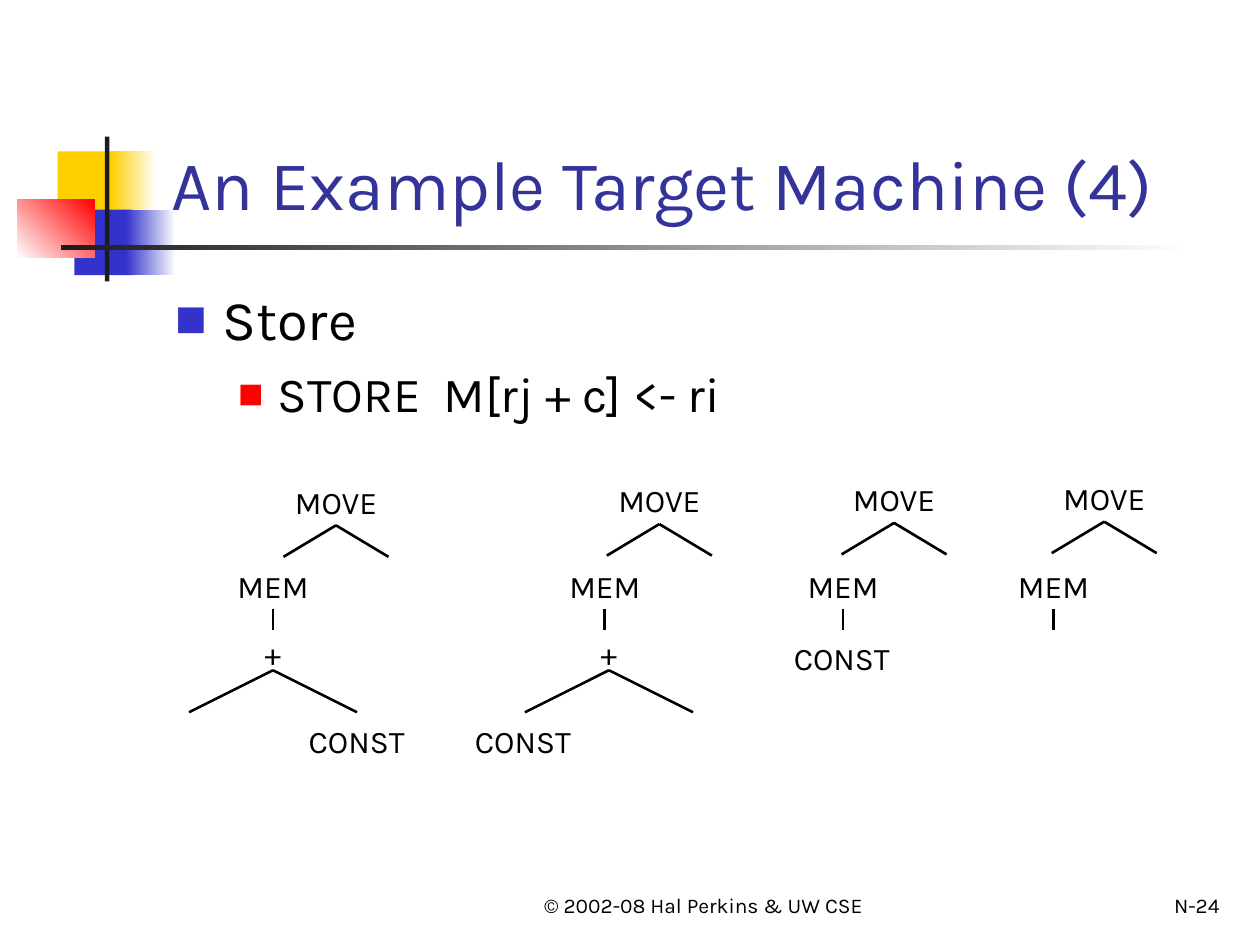
from lxml import etree
from pptx import Presentation
from pptx.dml.color import RGBColor
from pptx.enum.shapes import MSO_CONNECTOR, MSO_SHAPE
from pptx.enum.text import MSO_ANCHOR, PP_ALIGN
from pptx.oxml.ns import qn
from pptx.util import Pt

LEFT, CENTER, RIGHT = PP_ALIGN.LEFT, PP_ALIGN.CENTER, PP_ALIGN.RIGHT
TOP, BOTTOM = MSO_ANCHOR.TOP, MSO_ANCHOR.BOTTOM
STRAIGHT, RECTANGLE = MSO_CONNECTOR.STRAIGHT, MSO_SHAPE.RECTANGLE
FONT = "Karla"
BLACK, WHITE, DARK = "000000", "FFFFFF", "1C1C1C"
YELLOW, BLUE, RED, NAVY = "FFCF01", "3333CC", "FF0000", "333399"

# left, top, width, height, start colour, end colour (None if solid), angle
ORNAMENTS = [
    (33, 86.5, 34.5, 37.5, YELLOW, None, 0),
    (63.5, 86.5, 26, 37.5, YELLOW, WHITE, 0),
    (42.5, 119.8, 33, 37.5, BLUE, None, 0),
    (72, 119.8, 28.5, 37.5, BLUE, WHITE, 0),
    (10, 113.8, 44, 33.5, WHITE, RED, 45),
    (60, 78, 2.5, 82.8, DARK, None, 0),
    (34.8, 140.2, 648, 2.5, DARK, WHITE, 0),
]
TITLE = "An Example Target Machine (4)"
COPYRIGHT = "© 2002-08 Hal Perkins & UW CSE"
PAGE_NUMBER = "N-24"
# text, size, level, left margin, hanging indent, space before, bullet colour, bullet percent
BULLETS = [
    ("Store", 32, 0, 27, 27, 0, BLUE, 60),
    ("STORE  M[rj + c] <- ri", 28, 1, 58.5, 22.5, 7, RED, 55),
]
# move: x and y of its fork; mem: x; plus: x or None; const: x and top, or None
TREES = [
    {"move": (192, 300.2), "mem": 156, "plus": 156, "const": (203.8, 409)},
    {"move": (376.8, 299.5), "mem": 345.6, "plus": 348, "const": (298.8, 409)},
    {"move": (510.9, 298.8), "mem": 481.8, "plus": None, "const": (481, 361.4)},
    {"move": (631, 298.1), "mem": 602, "plus": None, "const": None},
]
MEM_TOP, STEM_TOP, STEM_BOTTOM = 320.4, 348, 360
PLUS_TOP, PLUS_FORK = 358.6, 383
MOVE_RISE = 28
LABEL_HEIGHT = 28.8
LABEL_WIDTHS = {"MOVE": 65.5, "MEM": 57, "CONST": 73.4, "+": 24.5}


def color(value):
    return RGBColor.from_string(value)


def style(para, size, value=BLACK, align=LEFT):
    para.alignment = align
    para.font.name = FONT
    para.font.size = Pt(size)
    para.font.color.rgb = color(value)


def add_box(page, left, top, width, height, anchor=TOP, wrap=True):
    box = page.shapes.add_textbox(Pt(left), Pt(top), Pt(width), Pt(height))
    box.text_frame.word_wrap = wrap
    box.text_frame.vertical_anchor = anchor
    return box.text_frame


def add_text(page, place, text, size, value=BLACK, align=LEFT):
    """Add one bottom-anchored line of text."""
    para = add_box(page, *place, anchor=BOTTOM).paragraphs[0]
    para.text = text
    style(para, size, value, align)


def add_label(page, text, center, top):
    width = LABEL_WIDTHS[text]
    frame = add_box(page, center - width / 2, top, width, LABEL_HEIGHT, wrap=False)
    frame.paragraphs[0].text = text
    style(frame.paragraphs[0], 18, align=CENTER)


def add_line(page, x1, y1, x2, y2):
    line = page.shapes.add_connector(STRAIGHT, Pt(x1), Pt(y1), Pt(x2), Pt(y2))
    line.line.color.rgb = color(BLACK)
    line.line.width = Pt(1.5)
    etree.SubElement(line._element.spPr, qn("a:effectLst"))


def add_fork(page, x, y, reach, drop):
    for side in (-reach, reach):
        add_line(page, x, y, x + side, y + drop)


def add_ornament(page, left, top, width, height, start, end, angle):
    shape = page.shapes.add_shape(RECTANGLE, Pt(left), Pt(top), Pt(width), Pt(height))
    shape.shadow.inherit = False
    shape.line.fill.background()
    if end is None:
        shape.fill.solid()
        shape.fill.fore_color.rgb = color(start)
        return
    shape.fill.gradient()
    shape.fill.gradient_angle = angle
    for stop, value, position in zip(shape.fill.gradient_stops, (start, end), (0, 1)):
        stop.color.rgb = color(value)
        stop.position = position


def add_bullet(para, margin, hanging, value, percent):
    props = para._p.get_or_add_pPr()
    props.set("marL", str(Pt(margin)))
    props.set("indent", str(-Pt(hanging)))
    tint = etree.SubElement(props, qn("a:buClr"))
    etree.SubElement(tint, qn("a:srgbClr"), val=value)
    etree.SubElement(props, qn("a:buSzPct"), val=str(percent * 1000))
    etree.SubElement(props, qn("a:buFont"), typeface=FONT)
    etree.SubElement(props, qn("a:buChar"), char="■")


def add_body(page):
    frame = add_box(page, 93, 159, 612, 324)
    for index, item in enumerate(BULLETS):
        text, size, level, margin, hanging, before, value, percent = item
        para = frame.add_paragraph() if index else frame.paragraphs[0]
        para.text = text
        para.level = level
        para.space_before = Pt(before)
        add_bullet(para, margin, hanging, value, percent)
        style(para, size)


def add_tree(page, tree):
    x, y = tree["move"]
    add_label(page, "MOVE", x, y - MOVE_RISE)
    add_fork(page, x, y, 30, 18)
    add_label(page, "MEM", tree["mem"], MEM_TOP)
    add_line(page, tree["mem"], STEM_TOP, tree["mem"], STEM_BOTTOM)
    if tree["plus"] is not None:
        add_label(page, "+", tree["plus"], PLUS_TOP)
        add_fork(page, tree["plus"], PLUS_FORK, 48, 24)
    if tree["const"] is not None:
        add_label(page, "CONST", *tree["const"])


def main():
    deck = Presentation()
    deck.slide_width, deck.slide_height = Pt(720), Pt(540)
    page = deck.slides.add_slide(deck.slide_layouts[6])
    for ornament in ORNAMENTS:
        add_ornament(page, *ornament)
    add_text(page, (288, 492, 228, 36), COPYRIGHT, 12, align=CENTER)
    add_text(page, (554, 492, 150, 36), PAGE_NUMBER, 12, align=RIGHT)
    add_body(page)
    add_text(page, (91, 16.5, 613.5, 115.2), TITLE, 40, NAVY)
    for tree in TREES:
        add_tree(page, tree)
    deck.save("out.pptx")


if __name__ == "__main__":
    main()
